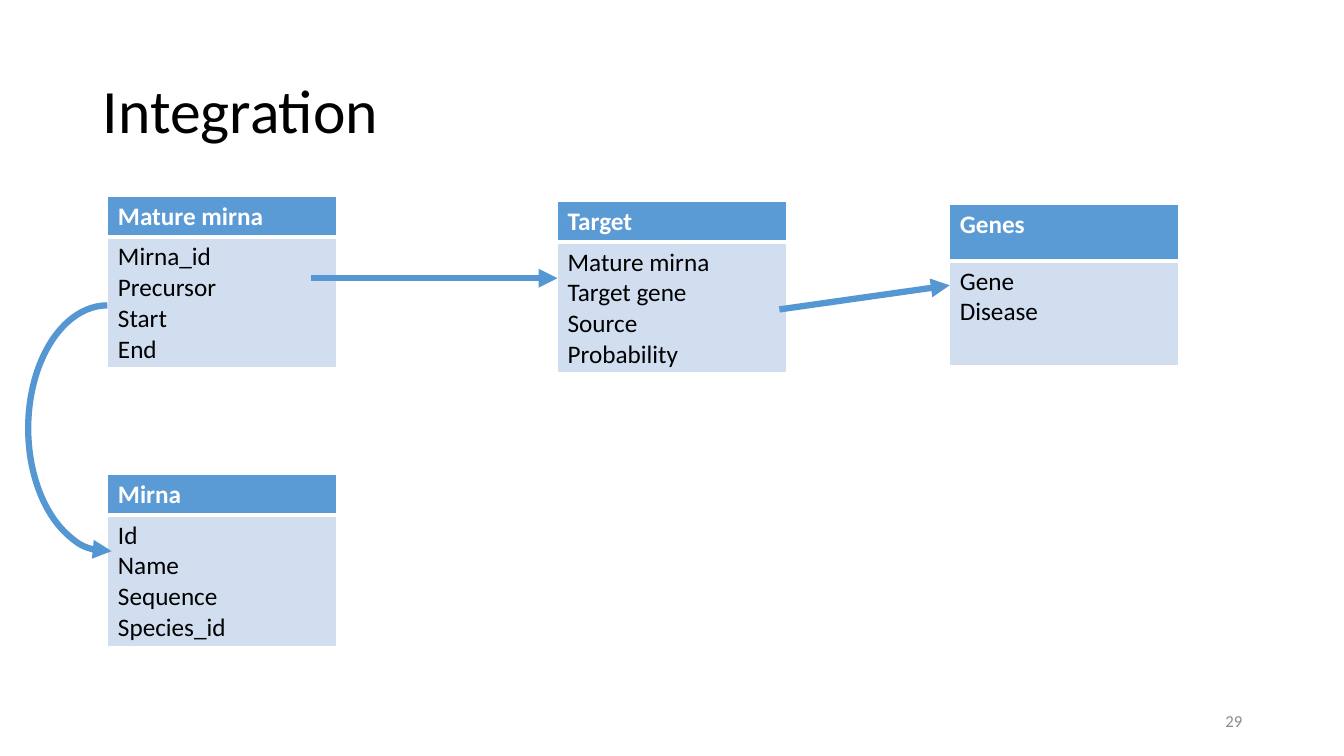
from lxml.etree import SubElement
from pptx import Presentation
from pptx.dml.color import RGBColor
from pptx.enum.shapes import MSO_CONNECTOR, MSO_SHAPE
from pptx.enum.text import MSO_ANCHOR, PP_ALIGN
from pptx.oxml.ns import qn
from pptx.util import Inches, Pt

FONT = "Calibri"
BLACK, WHITE, GRAY = "000000", "FFFFFF", "8B8B8B"
HEADER_BLUE, BODY_BLUE, ARROW_BLUE = "5B9BD5", "D1DEEF", "5597D3"
ENTITY_WIDTH = 2.27

# name, fields, left, top, header height, body height
ENTITIES = [
    ("Target", ["Mature mirna", "Target gene", "Source", "Probability"], 5.53, 2, 0.4, 1.3),
    ("Genes", ["Gene", "Disease"], 9.42, 2.03, 0.56, 1.04),
    ("Mature mirna", ["Mirna_id", "Precursor", "Start", "End"], 1.07, 1.95, 0.4, 1.3),
    ("Mirna", ["Id", "Name", "Sequence", "Species_id"], 1.07, 4.71, 0.4, 1.3),
]
# start x, start y, end x, end y
RELATIONS = [(3.08, 2.76, 5.53, 2.76), (7.73, 3.07, 9.42, 2.83)]


def rgb(color):
    return RGBColor.from_string(color)


def box(left, top, width, height):
    return [Inches(length) for length in (left, top, width, height)]


def style(paragraph, size, color, bold=False):
    font = paragraph.font
    font.name, font.size, font.bold = FONT, Pt(size), bold
    font.color.rgb = rgb(color)


def add_title(slide, text, left, top, width, height):
    title = slide.shapes.title
    title.left, title.top, title.width, title.height = box(left, top, width, height)
    frame = title.text_frame
    frame.text = text
    frame.vertical_anchor = MSO_ANCHOR.MIDDLE
    heading = frame.paragraphs[0]
    heading.alignment, heading.line_spacing = PP_ALIGN.LEFT, 0.9
    style(heading, 44, BLACK)


def add_page_number(slide, text, left, top, width, height):
    frame = slide.shapes.add_textbox(*box(left, top, width, height)).text_frame
    frame.word_wrap = True
    frame.vertical_anchor = MSO_ANCHOR.MIDDLE
    frame.text = text
    frame.paragraphs[0].alignment = PP_ALIGN.RIGHT
    style(frame.paragraphs[0], 12, GRAY)


def set_borders(cell, **widths):
    properties = cell._tc.get_or_add_tcPr()
    for side in "LRTB":
        line = SubElement(properties, qn(f"a:ln{side}"), w=str(Pt(widths.get(side, 0.96))))
        fill = SubElement(line, qn("a:solidFill"))
        SubElement(fill, qn("a:srgbClr"), val=WHITE)


def fill_cell(cell, lines, fill, color, bold):
    cell.fill.solid()
    cell.fill.fore_color.rgb = rgb(fill)
    cell.text = "\n".join(lines)
    for paragraph in cell.text_frame.paragraphs:
        style(paragraph, 18, color, bold)


def add_entity(slide, name, fields, left, top, header_height, body_height):
    place = box(left, top, ENTITY_WIDTH, header_height + body_height)
    table = slide.shapes.add_table(2, 1, *place).table
    table.horz_banding = False
    table.rows[0].height = Inches(header_height)
    table.rows[1].height = Inches(body_height)
    header, body = table.cell(0, 0), table.cell(1, 0)
    set_borders(header, B=3)
    set_borders(body, T=3)
    fill_cell(header, [name], HEADER_BLUE, WHITE, True)
    fill_cell(body, fields, BODY_BLUE, BLACK, False)


def style_arrow(arrow):
    arrow.line.color.rgb = rgb(ARROW_BLUE)
    arrow.line.width = Pt(4.5)
    SubElement(arrow.line._get_or_add_ln(), qn("a:tailEnd"), type="triangle")


def add_relation(slide, *ends):
    relation = slide.shapes.add_connector(MSO_CONNECTOR.STRAIGHT, *box(*ends))
    style_arrow(relation)
    SubElement(relation._element.spPr, qn("a:effectLst"))


def add_curved_relation(slide, left, top, width, height):
    arc = slide.shapes.add_shape(MSO_SHAPE.ARC, *box(left, top, width, height))
    arc.shadow.inherit = False
    arc.fill.background()
    # Left half of the ellipse, from its top to just past its bottom
    arc.adjustments[0], arc.adjustments[1] = 162, 55.21
    arc._element.spPr.get_or_add_xfrm().set("flipH", "1")
    style_arrow(arc)


def build_integration_slide(presentation):
    slide = presentation.slides.add_slide(presentation.slide_layouts[5])
    add_title(slide, "Integration", 0.92, 0.4, 11.5, 1.45)
    add_page_number(slide, "29", 9.42, 6.95, 3, 0.4)
    # Database tables
    for entity in ENTITIES:
        add_entity(slide, *entity)
    # Links between the tables
    for relation in RELATIONS:
        add_relation(slide, *relation)
    add_curved_relation(slide, 0.28, 3.03, 1.57, 2.44)


def main():
    presentation = Presentation()
    presentation.slide_width, presentation.slide_height = Inches(13.33), Inches(7.5)
    build_integration_slide(presentation)
    presentation.save("out.pptx")


if __name__ == "__main__":
    main()
